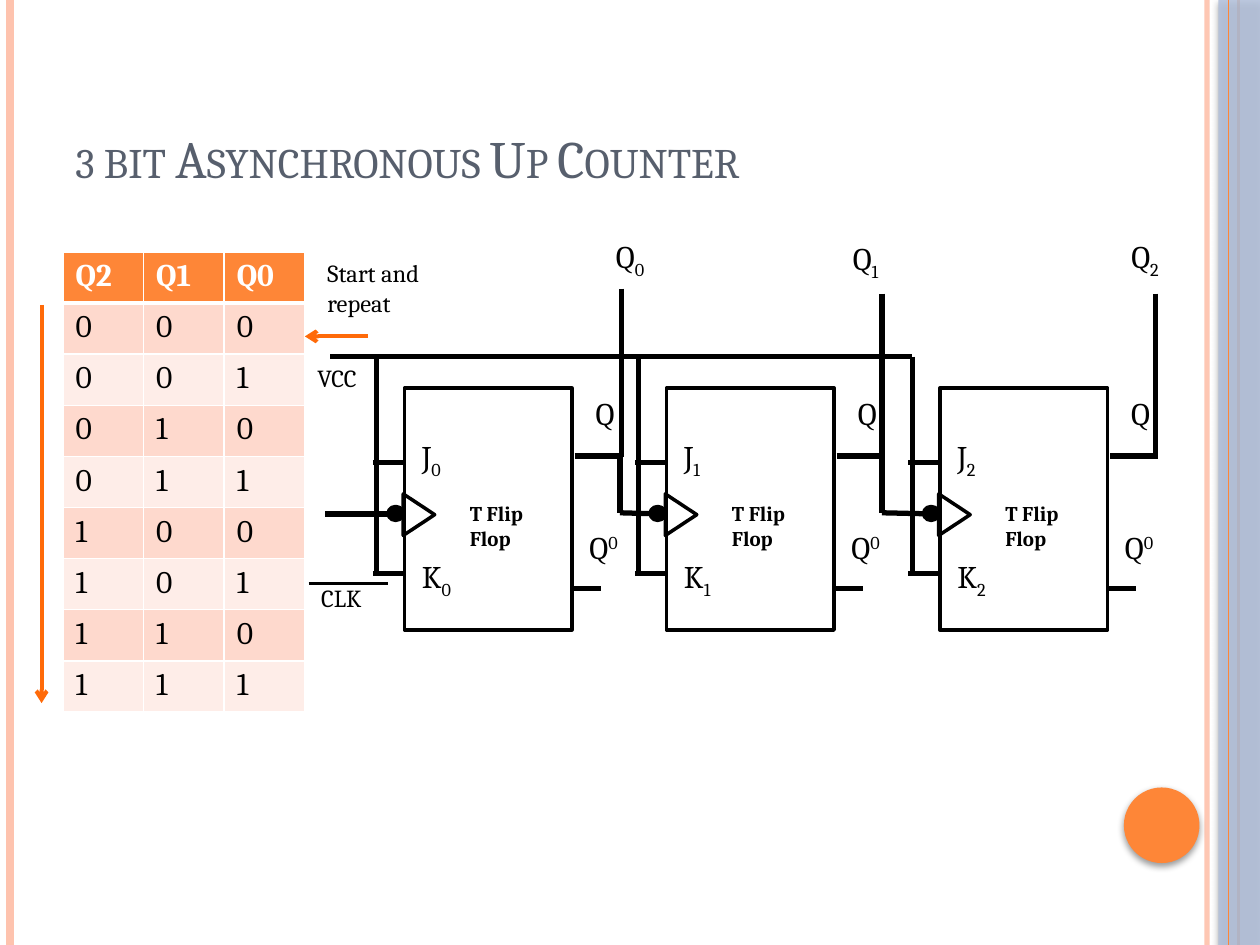
"""Build a slide showing a 3 bit asynchronous up counter with its state table."""
import lxml.etree
import pptx
import pptx.dml.color
import pptx.enum.shapes
import pptx.enum.text
import pptx.oxml
import pptx.oxml.ns
import pptx.util

Inches, Pt = pptx.util.Inches, pptx.util.Pt
rgb = pptx.dml.color.RGBColor.from_string
qn = pptx.oxml.ns.qn
SHAPE = pptx.enum.shapes.MSO_SHAPE
ORANGE, PINK, BLACK, WHITE = "FE8637", "FEC3AE", "000000", "FFFFFF"
ARROW = "FF6A09"


def write(tf, text, size=18, color=BLACK, bold=False, mark="", base=0, caps=False):
    """Fill a text frame with text and an optional raised or lowered mark."""
    tf.word_wrap = True
    p = tf.paragraphs[0]
    for part, shift in ((text, 0), (mark, base)):
        if part:
            r = p.add_run()
            r.text = part
            r.font.name, r.font.size, r.font.bold = "Cambria", Pt(size), bold
            r.font.color.rgb = rgb(color)
            if shift:
                r.font._element.set("baseline", str(shift * 1000))
            if caps:
                r.font._element.set("cap", "small")


def line(x1, y1, x2, y2, color=BLACK, width=3, arrow=False, alpha=100):
    """Draw a straight line, with an arrowhead at its end if asked."""
    c = s.shapes.add_connector(
        pptx.enum.shapes.MSO_CONNECTOR.STRAIGHT,
        Inches(x1), Inches(y1), Inches(x2), Inches(y2))
    c.line.width = Pt(width)
    c.line.color.rgb = rgb(color)
    ln = c.line._get_or_add_ln()
    if alpha < 100:
        clr = next(ln.iter(qn("a:srgbClr")))
        lxml.etree.SubElement(clr, qn("a:alpha"), val=str(alpha * 1000))
    if arrow:
        lxml.etree.SubElement(ln, qn("a:tailEnd"), type="arrow")
    lxml.etree.SubElement(c._element.spPr, qn("a:effectLst"))


prs = pptx.Presentation()
prs.slide_width, prs.slide_height = Inches(10), Inches(7.5)
s = prs.slides.add_slide(prs.slide_layouts[6])

line(9.58, 0, 9.58, 7.5, PINK, 3, alpha=93)
line(0.08, 0, 0.08, 7.5, PINK, 4.5)
line(9.83, 0, 9.83, 7.5, ORANGE, 1.5)
for kind, x, y, w, h, color, alpha in (
    (SHAPE.RECTANGLE, 9.67, 0, 0.33, 7.5, "B3C1DB", 87),
    (SHAPE.OVAL, 8.92, 6.25, 0.6, 0.6, ORANGE, 100),
):
    sp = s.shapes.add_shape(kind, Inches(x), Inches(y), Inches(w), Inches(h))
    sp.fill.solid()
    sp.fill.fore_color.rgb = rgb(color)
    clr = next(sp._element.spPr.iter(qn("a:srgbClr")))
    lxml.etree.SubElement(clr, qn("a:alpha"), val=str(alpha * 1000))
    sp.line.fill.background()
    sp.shadow.inherit = False
    shadow = lxml.etree.SubElement(
        sp._element.spPr.find(qn("a:effectLst")), qn("a:outerShdw"),
        blurRad=str(Pt(4)), dist=str(Pt(2)), dir="5400000", rotWithShape="0")
    clr = lxml.etree.SubElement(shadow, qn("a:srgbClr"), val=BLACK)
    lxml.etree.SubElement(clr, qn("a:alpha"), val="40000")
line(9.75, 0, 9.75, 7.5, ORANGE, 0.75)

sp = s.shapes.add_textbox(Inches(0.5), Inches(0.3), Inches(8.17), Inches(1.25))
sp.text_frame.vertical_anchor = pptx.enum.text.MSO_ANCHOR.BOTTOM
write(sp.text_frame, "3 bit Asynchronous Up Counter", size=30, color="575F6D", caps=True)

rows = [("Q2", "Q1", "Q0")] + [tuple(f"{n:03b}") for n in range(8)]
table = s.shapes.add_table(
    9, 3, Inches(0.5), Inches(2), Inches(1.92), Inches(3.65)).table
for i, row in enumerate(rows):
    for j, value in enumerate(row):
        cell = table.cell(i, j)
        write(cell.text_frame, value, color=BLACK if i else WHITE, bold=i == 0)
        for side in "LRTB":
            thick = (i, side) in ((0, "B"), (1, "T"))
            ln = lxml.etree.SubElement(
                cell._tc.get_or_add_tcPr(), qn(f"a:ln{side}"),
                w=str(Pt(3 if thick else 0.96)))
            fill = lxml.etree.SubElement(ln, qn("a:solidFill"))
            lxml.etree.SubElement(fill, qn("a:srgbClr"), val=WHITE)
        cell.fill.solid()
        cell.fill.fore_color.rgb = rgb(
            ORANGE if i == 0 else "FED9CD" if i % 2 else "FEEDE8")

line(0.33, 2.42, 0.33, 5.58, ARROW, 2.25, arrow=True)
line(2.92, 2.67, 2.42, 2.67, ARROW, 2.25, arrow=True)
line(2.62, 2.83, 7.24, 2.83)
line(2.45, 4.63, 3.08, 4.63, width=1.5)

labels = [
    (2.5, 2, 1.08, 0.56, "Start and repeat", {"size": 14}),
    (2.42, 2.83, 0.67, 0.33, "VCC", {"size": 14}),
    (2.45, 4.58, 0.76, 0.33, "CLK", {"size": 14}),
]
stages = (
    (3.21, 2.58, 4.93, 2.29, 4.79, 1.83),
    (5.29, 4.92, 7, 2.33, 6.67, 1.85),
    (7.46, 7, 9.17, 2.33, 8.88, 1.83),
)
for n, (x, clock_x, tap_x, tap_y, label_x, label_y) in enumerate(stages):
    for kind, dx, y, w, h in (
        (SHAPE.RECTANGLE, 0, 3.08, 1.33, 1.92),
        (SHAPE.ISOSCELES_TRIANGLE, -0.05, 3.96, 0.33, 0.25),
        (SHAPE.OVAL, -0.13, 4.02, 0.12, 0.11),
    ):
        sp = s.shapes.add_shape(
            kind, Inches(x + dx), Inches(y), Inches(w), Inches(h))
        sp.shadow.inherit = False
        sp.line.color.rgb = rgb(BLACK)
        sp.line.width = Pt(2)
        sp.fill.background()
        if kind == SHAPE.ISOSCELES_TRIANGLE:
            sp.rotation = 90
        if kind == SHAPE.OVAL:
            sp.fill.solid()
            sp.fill.fore_color.rgb = rgb(BLACK)
    line(clock_x, 4.07 if n else 4.08, x - 0.01, 4.08)
    line(x - 0.22, 2.83, x - 0.22, 4.55)
    for dx1, dx2, y in (
        (-0.25, 0, 4.55), (-0.25, 0, 3.67), (1.33, 1.56, 4.67), (1.35, 1.73, 3.62),
    ):
        line(x + dx1, y, x + dx2, y)
    line(tap_x, tap_y, tap_x, 3.63)
    if n:
        line(clock_x, 3.62, clock_x, 4.07)
    low = {"mark": str(n), "base": -25}
    labels += [
        (x + 0.04, 3.42, 0.5, 0.44, "J", low),
        (x + 0.04, 4.37, 0.5, 0.44, "K", low),
        (x + 1.42, 3.08, 0.33, 0.4, "Q", {}),
        (x + 1.37, 4.14, 0.5, 0.4, "Q", {"mark": "0", "base": 30}),
        (x + 0.42, 3.92, 0.92, 0.5, "T Flip Flop", {"size": 12, "bold": True}),
        (label_x, label_y, 0.62, 0.44, "Q", low),
    ]

for x, y, w, h, text, style in labels:
    sp = s.shapes.add_textbox(Inches(x), Inches(y), Inches(w), Inches(h))
    write(sp.text_frame, text, **style)

prs.save("out.pptx")
